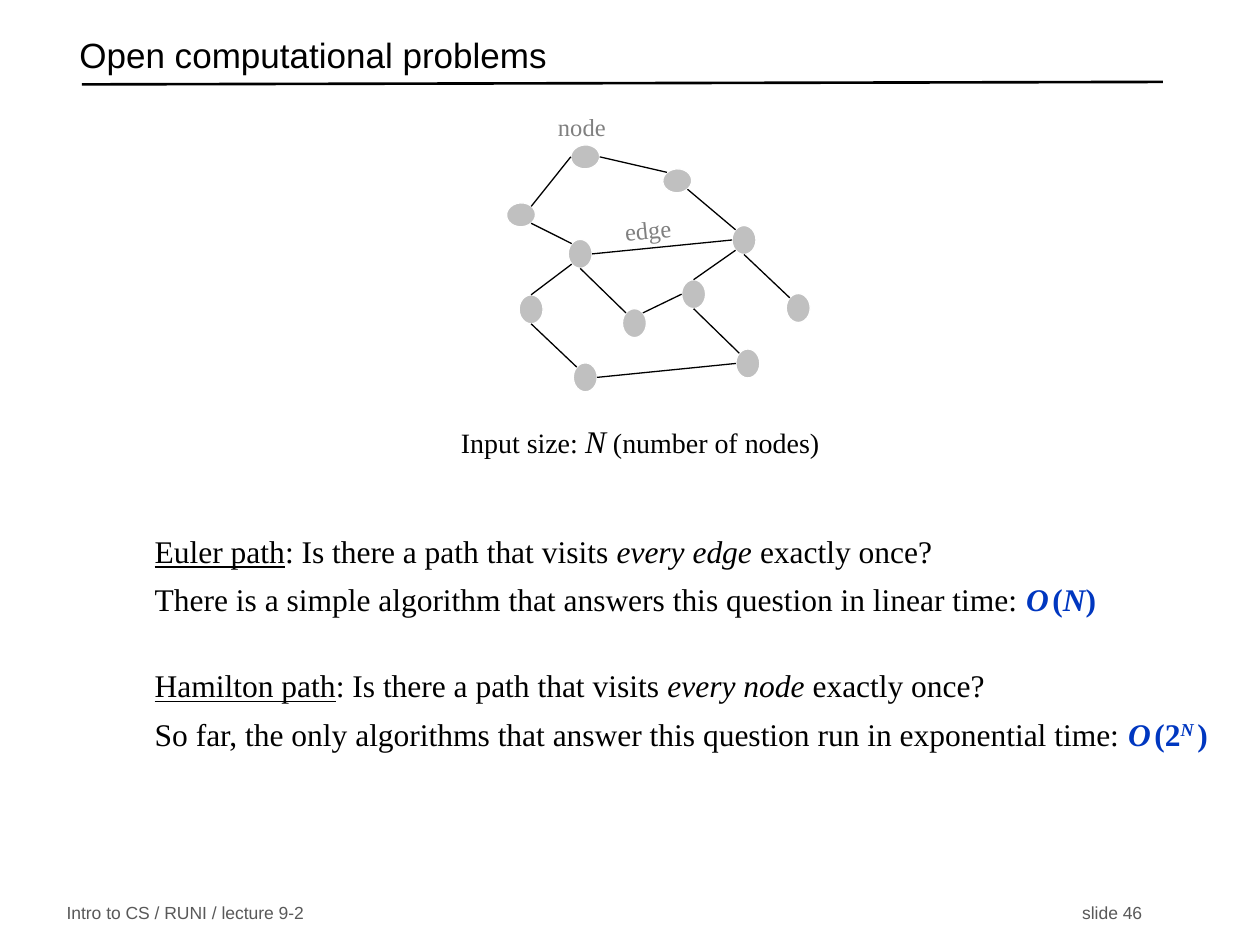
import math
from dataclasses import dataclass

import lxml.etree
import pptx
import pptx.dml.color
import pptx.enum.shapes
import pptx.enum.text
import pptx.oxml
import pptx.oxml.ns
import pptx.util
from pptx.util import Inches


@dataclass(frozen=True)
class Theme:
    ink: str = "000000"
    accent: str = "0037C0"
    label: str = "808080"
    footer: str = "595959"
    node: str = "C0C0C0"
    paper: str = "FFFFFF"
    sans: str = "Arial"
    serif: str = "Times New Roman"
    title_size: int = 20
    body_size: int = 18
    caption_size: int = 16
    label_size: int = 14
    footer_size: int = 10
    gap_size: int = 8


theme = Theme()


def write(paragraph, text, size=theme.body_size, color=theme.ink, face=theme.serif,
          bold=False, italic=False, underline=False, superscript=False):
    run = paragraph.add_run()
    run.text = text
    run.font.size = pptx.util.Pt(size)
    run.font.name = face
    run.font.color.rgb = pptx.dml.color.RGBColor.from_string(color)
    run.font.bold = bold
    run.font.italic = italic
    run.font.underline = underline
    if superscript:
        run._r.get_or_add_rPr().set("baseline", "30000")


def draw_line(start, end, weight):
    line = slide.shapes.add_connector(
        pptx.enum.shapes.MSO_CONNECTOR.STRAIGHT, *(Inches(v) for v in (*start, *end)))
    line.line.color.rgb = pptx.dml.color.RGBColor.from_string(theme.ink)
    line.line.width = pptx.util.Pt(weight)
    lxml.etree.SubElement(line._element.spPr, pptx.oxml.ns.qn("a:effectLst"))


deck = pptx.Presentation()
deck.slide_width, deck.slide_height = Inches(10), Inches(7.5)
slide = deck.slides.add_slide(deck.slide_layouts[5])

draw_line((0.65, 0.67), (9.23, 0.65), 1.5)

heading = slide.shapes.title
heading.left, heading.top = Inches(0.53), Inches(0.22)
heading.width, heading.height = Inches(10.27), Inches(0.5)
heading.text_frame.auto_size = pptx.enum.text.MSO_AUTO_SIZE.NONE
heading.text_frame.vertical_anchor = pptx.enum.text.MSO_ANCHOR.MIDDLE
heading_line = heading.text_frame.paragraphs[0]
heading_line.alignment = pptx.enum.text.PP_ALIGN.LEFT
heading_line.line_spacing = 0.7
write(heading_line, "Open computational problems", size=theme.title_size, face=theme.sans)

node_width, node_height = 0.19, 0.23
nodes = {
    "top": (4.55, 1.13, 86.5),
    "upper left": (4.04, 1.59, 86.5),
    "upper right": (5.28, 1.32, 86.5),
    "left hub": (4.51, 1.9, 0),
    "right hub": (5.81, 1.79, 0),
    "left": (4.12, 2.34, 0),
    "center": (4.94, 2.45, 0),
    "inner right": (5.41, 2.22, 0),
    "right": (6.24, 2.33, 0),
    "lower left": (4.55, 2.88, 0),
    "lower right": (5.84, 2.77, 0),
}
edges = [
    ("top", "W", "upper left", "NE"),
    ("top", "E", "upper right", "NW"),
    ("upper left", "SE", "left hub", "NW"),
    ("upper right", "SE", "right hub", "NW"),
    ("left hub", "E", "right hub", "W"),
    ("left hub", "SW", "left", "N"),
    ("left hub", "S", "center", "NW"),
    ("right hub", "SW", "inner right", "N"),
    ("right hub", "S", "right", "NW"),
    ("center", "NE", "inner right", "W"),
    ("left", "S", "lower left", "NW"),
    ("inner right", "S", "lower right", "NW"),
    ("lower left", "E", "lower right", "W"),
]
compass = ["E", "SE", "S", "SW", "W", "NW", "N", "NE"]

for left, top, turn in nodes.values():
    node = slide.shapes.add_shape(
        pptx.enum.shapes.MSO_SHAPE.OVAL, Inches(left), Inches(top),
        Inches(node_width), Inches(node_height))
    node.rotation = turn
    node.shadow.inherit = False
    node.fill.solid()
    node.fill.fore_color.rgb = pptx.dml.color.RGBColor.from_string(theme.node)
    node.line.color.rgb = pptx.dml.color.RGBColor.from_string(theme.paper)
    node.line.width = pptx.util.Pt(0.75)

for first, first_side, second, second_side in edges:
    ends = []
    for name, side in ((first, first_side), (second, second_side)):
        left, top, turn = nodes[name]
        across, down = (node_height, node_width) if turn else (node_width, node_height)
        angle = math.radians(45 * compass.index(side))
        ends.append((left + node_width / 2 + across / 2 * math.cos(angle),
                     top + node_height / 2 + down / 2 * math.sin(angle)))
    draw_line(*ends, 0.75)

label = dict(size=theme.label_size, color=theme.label)
caption = dict(size=theme.caption_size)
footer = dict(size=theme.footer_size, color=theme.footer, face=theme.sans)
order = dict(color=theme.accent, bold=True)
variable = dict(order, italic=True)
big_o = [("O", variable), (" ", dict(variable, size=theme.gap_size))]

passages = [
    ((4.33, 0.84, 0.68, 0.34), 0, [[("node", label)]]),
    ((4.86, 1.65, 0.68, 0.34), 354.1, [[("edge", label)]]),
    ((3.56, 3.3, 5.4, 0.4), 0, [
        [("Input size: ", caption), ("N", dict(italic=True)), (" (number of nodes)", caption)],
    ]),
    ((1.13, 4.17, 8.66, 0.79), 0, [
        [("Euler path", dict(underline=True)), (": Is there a path that visits ", {}),
         ("every edge ", dict(italic=True)), ("exactly once?", {})],
        [("There is a simple algorithm that answers this question in linear time: ", {}),
         *big_o, ("(", order), ("N", variable), (")", order)],
    ]),
    ((1.13, 5.24, 8.8, 0.79), 0, [
        [("Hamilton path", dict(underline=True)), (": Is there a path that visits ", {}),
         ("every node ", dict(italic=True)), ("exactly once?", {})],
        [("So far, the only algorithms that answer this question run in exponential time: ", {}),
         *big_o, ("(2", order), ("N", dict(order, italic=True, superscript=True)),
         (" ", dict(order, size=theme.gap_size)), (")", order)],
    ]),
    ((0.43, 7.14, 2.5, 0.21), 0, [[("Intro to CS / RUNI / lecture 9-2", footer)]]),
    ((8.49, 7.14, 0.8, 0.21), 0, [[("slide 46", footer)]]),
]

for place, turn, lines in passages:
    passage = slide.shapes.add_textbox(*(Inches(v) for v in place))
    passage.rotation = turn
    frame = passage.text_frame
    frame.word_wrap = True
    if lines[0][0][1] is footer:
        frame.vertical_anchor = pptx.enum.text.MSO_ANCHOR.MIDDLE
    for number, pieces in enumerate(lines):
        paragraph = frame.add_paragraph() if number else frame.paragraphs[0]
        if number:
            paragraph.space_before = pptx.util.Pt(6)
        for text, style in pieces:
            write(paragraph, text, **style)

deck.save("out.pptx")
